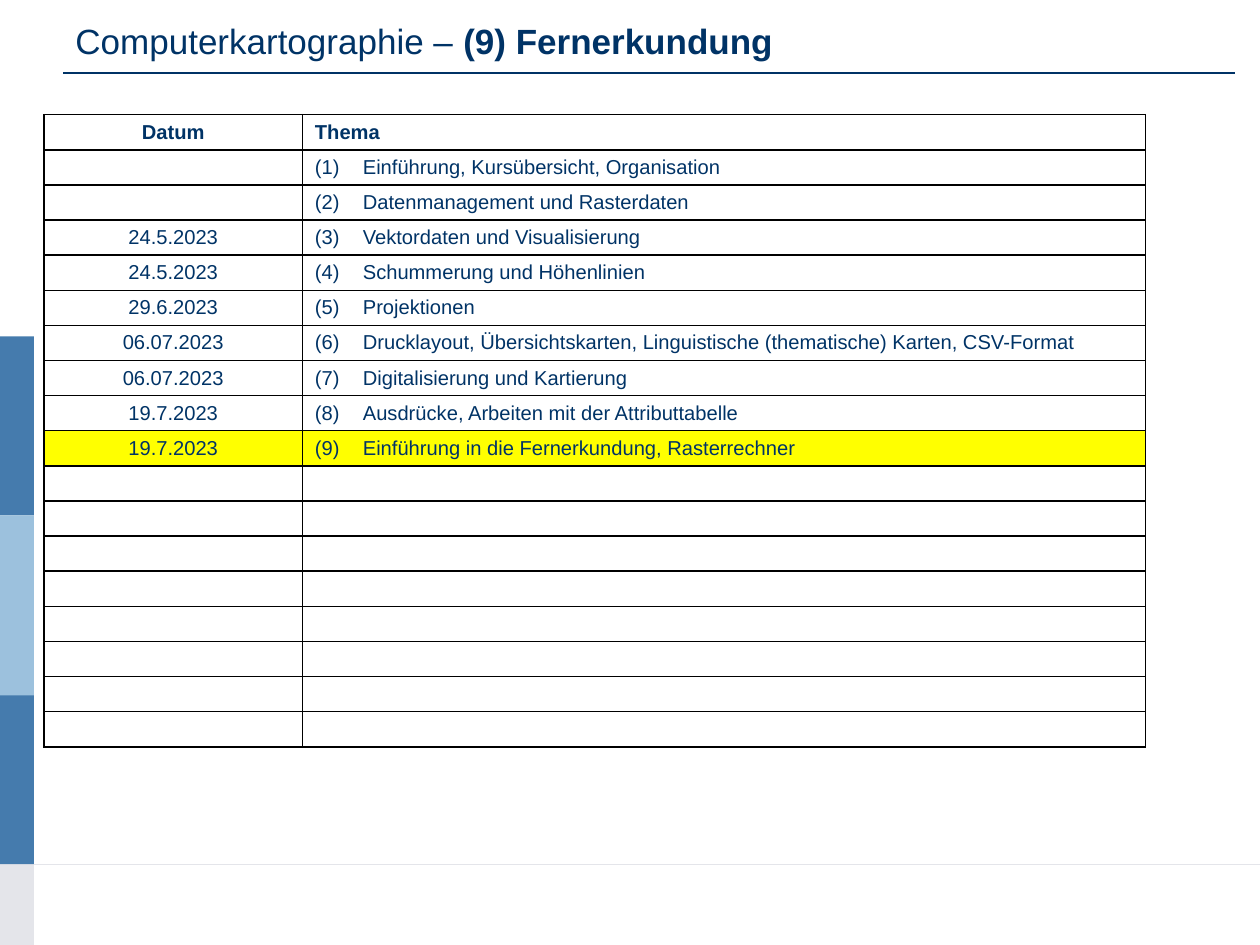
"""Build the course schedule slide of a computer cartography class."""
from typing import NamedTuple

import pptx
import pptx.dml.color
import pptx.enum.shapes
import pptx.enum.text
import pptx.oxml
import pptx.oxml.ns
import pptx.util
from pptx.util import Inches

NAVY, BLUE, SKY, GREY = "003366", "457BAD", "9CC1DD", "E4E5EA"
WHITE, YELLOW, BLACK = "FFFFFF", "FFFF00", "000000"
FONT = "Arial"
TABLE_SIZE = 11.5
ROW_COUNT = 18
ROW_HEIGHT = 0.279
COLUMN_WIDTHS = (2.05, 6.69)
TOPIC_INDENT = 0.38
CURRENT_TOPIC = 9


class Bar(NamedTuple):
    top: float
    height: float
    color: str


class Rule(NamedTuple):
    left: float
    right: float
    y: float
    color: str
    weight: float


class Session(NamedTuple):
    date: str
    topic: str


BARS = (
    Bar(2.67, 1.42, BLUE),
    Bar(5.51, 1.35, BLUE),
    Bar(6.86, 0.64, GREY),
    Bar(4.09, 1.43, SKY),
)
FOOTER_RULE = Rule(0, 10, 6.86, GREY, 0.5)
TITLE_RULE = Rule(0.5, 9.8, 0.58, NAVY, 0.75)
SESSIONS = (
    Session("", "Einführung, Kursübersicht, Organisation"),
    Session("", "Datenmanagement und Rasterdaten"),
    Session("24.5.2023", "Vektordaten und Visualisierung"),
    Session("24.5.2023", "Schummerung und Höhenlinien"),
    Session("29.6.2023", "Projektionen"),
    Session("06.07.2023", "Drucklayout, Übersichtskarten, Linguistische (thematische) Karten, CSV-Format"),
    Session("06.07.2023", "Digitalisierung und Kartierung"),
    Session("19.7.2023", "Ausdrücke, Arbeiten mit der Attributtabelle"),
    Session("19.7.2023", "Einführung in die Fernerkundung, Rasterrechner"),
)


def rgb(color: str) -> pptx.dml.color.RGBColor:
    return pptx.dml.color.RGBColor.from_string(color)


def element(xml: str):
    return pptx.oxml.parse_xml(xml.replace(">", f" {pptx.oxml.ns.nsdecls('a')}>", 1))


def style(paragraph, size: float, bold: bool | None = None) -> None:
    font = paragraph.font
    font.name, font.size, font.bold = FONT, pptx.util.Pt(size), bold
    font.color.rgb = rgb(NAVY)


def draw_bar(page, bar: Bar) -> None:
    shape = page.shapes.add_shape(
        pptx.enum.shapes.MSO_SHAPE.RECTANGLE,
        Inches(0), Inches(bar.top), Inches(0.27), Inches(bar.height),
    )
    shape.shadow.inherit = False
    shape.fill.solid()
    shape.fill.fore_color.rgb = rgb(bar.color)
    shape.line.fill.background()


def draw_rule(page, rule: Rule) -> None:
    line = page.shapes.add_connector(
        pptx.enum.shapes.MSO_CONNECTOR.STRAIGHT,
        Inches(rule.left), Inches(rule.y), Inches(rule.right), Inches(rule.y),
    )
    line.line.color.rgb = rgb(rule.color)
    line.line.width = pptx.util.Pt(rule.weight)
    properties = line._element.spPr
    properties.append(element("<a:effectLst></a:effectLst>"))


def draw_title(page) -> None:
    box = page.shapes.add_textbox(Inches(0.5), Inches(0.05), Inches(9), Inches(0.55))
    frame = box.text_frame
    frame.word_wrap = True
    frame.vertical_anchor = pptx.enum.text.MSO_ANCHOR.MIDDLE
    para = frame.paragraphs[0]
    for text, bold in (("Computerkartographie – ", False), ("(9) Fernerkundung", True)):
        span = para.add_run()
        span.text = text
        span.font.bold = bold
    style(para, 20)


def fill_cell(cell, text: str, centered: bool, bold: bool, color: str) -> None:
    properties = cell._tc.get_or_add_tcPr()
    for side in "LRTB":
        properties.append(element(
            f'<a:ln{side} w="12700"><a:solidFill><a:srgbClr val="{BLACK}"/></a:solidFill></a:ln{side}>'
        ))
    cell.fill.solid()
    cell.fill.fore_color.rgb = rgb(color)
    cell.margin_top = cell.margin_bottom = Inches(0.04)
    cell.vertical_anchor = pptx.enum.text.MSO_ANCHOR.MIDDLE
    para = cell.text_frame.paragraphs[0]
    if centered:
        para.alignment = pptx.enum.text.PP_ALIGN.CENTER
    if "\t" in text:
        indent = Inches(TOPIC_INDENT)
        layout = para._p.get_or_add_pPr()
        layout.set("marL", str(indent))
        layout.set("indent", str(-indent))
        layout.append(element(f'<a:tabLst><a:tab pos="{indent}" algn="l"/></a:tabLst>'))
    style(para, TABLE_SIZE, bold)
    if text:
        para.add_run().text = text
    else:
        para._p.append(element(f'<a:endParaRPr sz="{int(TABLE_SIZE * 100)}"></a:endParaRPr>'))


def draw_schedule(page) -> None:
    table = page.shapes.add_table(
        ROW_COUNT, len(COLUMN_WIDTHS), Inches(0.35), Inches(0.91),
        Inches(sum(COLUMN_WIDTHS)), Inches(ROW_COUNT * ROW_HEIGHT),
    ).table
    table.first_row = table.horz_banding = False
    for column, width in zip(table.columns, COLUMN_WIDTHS):
        column.width = Inches(width)
    rows = [("Datum", "Thema")]
    rows += [(item.date, f"({number})\t{item.topic}") for number, item in enumerate(SESSIONS, 1)]
    rows += [("", "")] * (ROW_COUNT - len(rows))
    for index, texts in enumerate(rows):
        table.rows[index].height = Inches(ROW_HEIGHT)
        color = YELLOW if index == CURRENT_TOPIC else WHITE
        for column, text in enumerate(texts):
            fill_cell(table.cell(index, column), text, column == 0, index == 0, color)


def main() -> None:
    deck = pptx.Presentation()
    deck.slide_width, deck.slide_height = Inches(10), Inches(7.5)
    page = deck.slides.add_slide(deck.slide_layouts[6])
    draw_rule(page, FOOTER_RULE)
    for bar in BARS:
        draw_bar(page, bar)
    draw_title(page)
    draw_rule(page, TITLE_RULE)
    draw_schedule(page)
    deck.save("out.pptx")


if __name__ == "__main__":
    main()
